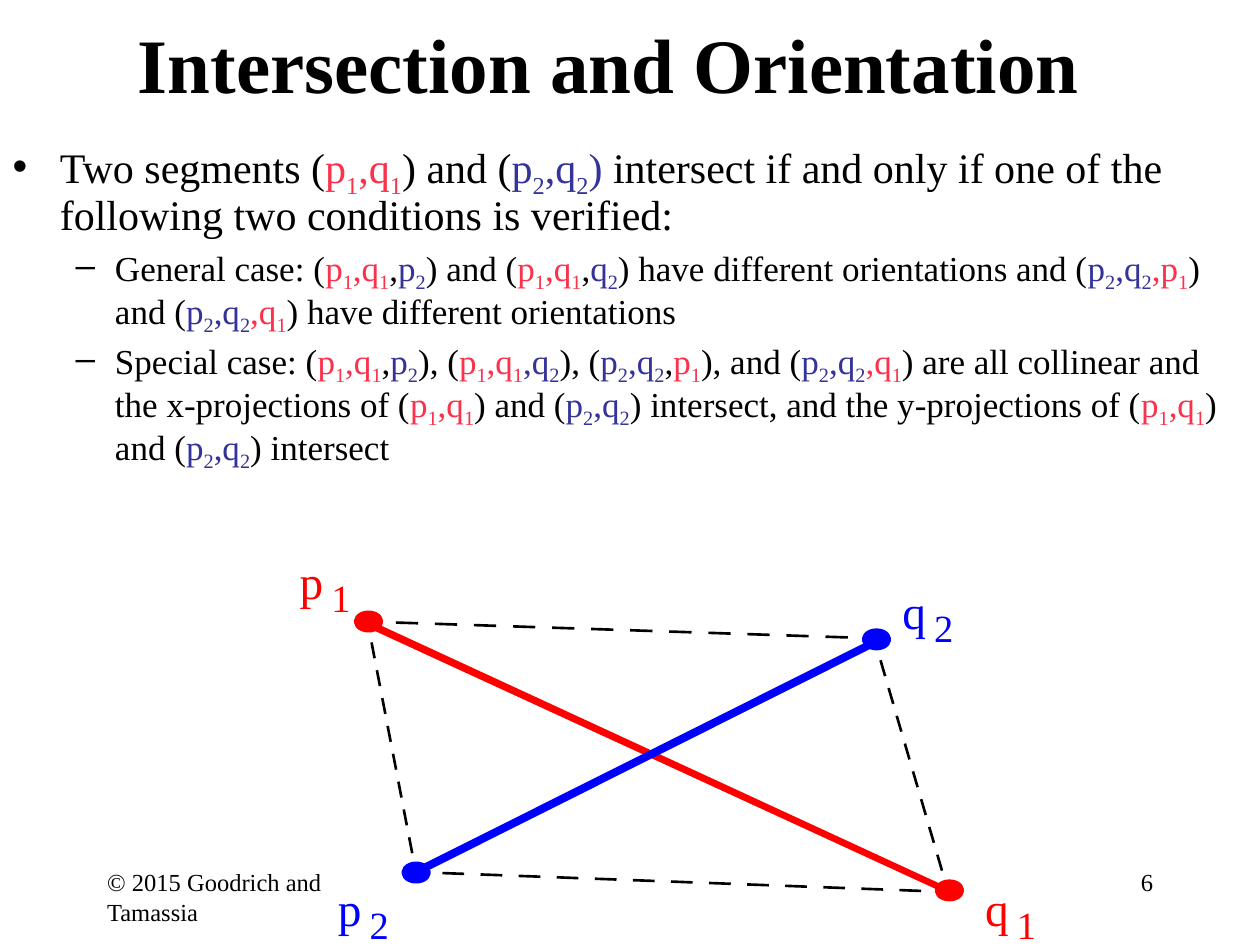
"""Build the slide on segment intersection and orientation."""
import itertools

import pptx
import pptx.dml.color
import pptx.enum.shapes
import pptx.enum.text
import pptx.oxml
import pptx.oxml.ns
import pptx.util
from pptx.util import Cm, Pt

BLACK = pptx.dml.color.RGBColor(0x00, 0x00, 0x00)
RED = pptx.dml.color.RGBColor(0xFF, 0x00, 0x00)
BLUE = pptx.dml.color.RGBColor(0x00, 0x00, 0xFF)
CRIMSON = pptx.dml.color.RGBColor(0xFA, 0x32, 0x4C)
INDIGO = pptx.dml.color.RGBColor(0x33, 0x33, 0x99)

TEXT_COLORS = {"<": CRIMSON, ">": INDIGO}
NO_INSETS = {
    "margin_left": 0, "margin_top": 0, "margin_right": 0, "margin_bottom": 0,
    "word_wrap": False, "auto_size": pptx.enum.text.MSO_AUTO_SIZE.SHAPE_TO_FIT_TEXT,
}
WRAPPED = {"word_wrap": True, "auto_size": pptx.enum.text.MSO_AUTO_SIZE.NONE}

CONDITIONS = [
    (0, 24, "Two segments (|<p1,q1|) and (|>p2,q2)| intersect if and only if "
            "one of the following two conditions is verified:"),
    (1, 20, "General case: (|<p1,q1|,|>p2|) and (|<p1,q1|,|>q2|) have different "
            "orientations and (|>p2,q2|<,p1|) and (|>p2,q2|<,q1|) have different "
            "orientations"),
    (1, 20, "Special case: (|<p1,q1|,|>p2|), (|<p1,q1|>,q2|), (|>p2,q2|,|<p1|), "
            "and (|>p2,q2|<,q1|) are all collinear and the x-projections of "
            "(|<p1,q1|) and (|>p2,q2|) intersect, and the y-projections of "
            "(|<p1,q1|) and (|>p2,q2|) intersect"),
]
ENDPOINTS = {
    "p1": ((7.43, 12.53), (6.04, 11.14), RED),
    "q1": ((19.14, 17.95), (19.86, 17.73), RED),
    "p2": ((8.39, 17.59), (6.81, 17.73), BLUE),
    "q2": ((17.67, 12.89), (18.19, 11.73), BLUE),
}
SEGMENTS = [
    ([(7.44, 12.5), (7.34, 12.62), (19.1, 18.03), (19.2, 17.93)], RED),
    ([(8.31, 17.53), (8.43, 17.65), (17.75, 12.98), (17.65, 12.85)], BLUE),
]
HULL_CORNERS = [
    [(8.36, 17.45), (8.36, 17.6), (8.59, 17.6)],
    [(18.9, 17.96), (19.1, 17.96), (19.1, 17.81)],
    [(17.7, 13.06), (17.65, 12.9), (17.42, 12.9)],
    [(7.59, 12.55), (7.39, 12.55), (7.44, 12.7)],
]
HULL_EDGES = [
    ((8.92, 17.6), (18.57, 17.96), 13),
    ((18.99, 17.55), (17.75, 13.31), 8),
    ((17.09, 12.85), (7.98, 12.55), 12),
    ((7.49, 12.95), (8.31, 17.2), 8),
]
DASH_SHARE = 0.57


def apply(target, values):
    """Set every attribute named in a dict of format values."""
    for attribute, value in values.items():
        setattr(target, attribute, value)


class SlideBuilder:
    """Holds the text style and the current slide."""

    def __init__(self, slide, font_name):
        self.slide = slide
        self.font_name = font_name

    def run(self, paragraph, text, size, color=BLACK, bold=False, baseline=None):
        run = paragraph.add_run()
        run.text = text
        apply(run.font, {"name": self.font_name, "size": Pt(size), "bold": bold})
        run.font.color.rgb = color
        if baseline:
            run.font._element.set("baseline", str(baseline))

    def place(self, shape, left, top, width, height):
        apply(shape, {"left": Cm(left), "top": Cm(top),
                      "width": Cm(width), "height": Cm(height)})

    def title(self, text, *box):
        heading = self.slide.shapes.title
        self.place(heading, *box)
        self.run(heading.text_frame.paragraphs[0], text, 44, bold=True)

    def body(self, items, *box):
        outline = self.slide.placeholders[1]
        self.place(outline, *box)
        frame = outline.text_frame
        apply(frame, WRAPPED)
        for index, (level, size, markup) in enumerate(items):
            paragraph = frame.add_paragraph() if index else frame.paragraphs[0]
            apply(paragraph, {"level": level, "line_spacing": 0.9})
            for piece in markup.split("|"):
                color = TEXT_COLORS.get(piece[0], BLACK)
                for is_index, letters in itertools.groupby(piece.lstrip("<>"), str.isdigit):
                    self.run(paragraph, "".join(letters), size, color,
                             baseline=-25000 if is_index else None)

    def text(self, text, size, box, color=BLACK, align=None, frame_format=WRAPPED):
        textbox = self.slide.shapes.add_textbox(*map(Cm, box))
        apply(textbox.text_frame, frame_format)
        paragraph = textbox.text_frame.paragraphs[0]
        paragraph.alignment = align
        self.run(paragraph, text, size, color)

    def paint(self, shape, fill=None, line=None, width=1.5):
        shape.shadow.inherit = False
        for part, color in ((shape.fill, fill), (shape.line.fill, line)):
            if color is None:
                part.background()
            else:
                part.solid()
                part.fore_color.rgb = color
        if line is not None:
            shape.line.width = Pt(width)

    def outline(self, points, closed=False, **colors):
        start, *others = [(Cm(x), Cm(y)) for x, y in points]
        builder = self.slide.shapes.build_freeform(*start)
        builder.add_line_segments(others, close=closed)
        self.paint(builder.convert_to_shape(), **colors)

    def line(self, start, end):
        connector = self.slide.shapes.add_connector(
            pptx.enum.shapes.MSO_CONNECTOR.STRAIGHT, *map(Cm, start + end))
        connector.line.color.rgb = BLACK
        connector.line.width = Pt(1.5)
        connector._element.spPr.append(pptx.oxml.parse_xml(
            f'<a:effectLst {pptx.oxml.ns.nsdecls("a")}/>'))

    def dashes(self, start, end, count):
        steps = [(b - a) / (count - 1 + DASH_SHARE) for a, b in zip(start, end)]
        for index in range(count):
            self.line(*(tuple(a + step * position for a, step in zip(start, steps))
                        for position in (index, index + DASH_SHARE)))

    def point(self, center, color, width=0.43, height=0.28):
        x, y = center
        dot = self.slide.shapes.add_shape(
            pptx.enum.shapes.MSO_SHAPE.OVAL,
            Cm(x - width / 2), Cm(y - height / 2), Cm(width), Cm(height))
        self.paint(dot, fill=color, line=color, width=4.63)

    def label(self, name, corner, color):
        left, top = corner
        self.text(name[0], 27, (left, top, 0.48, 1.14), color, frame_format=NO_INSETS)
        self.text(name[1], 22, (left + 0.64, top + 0.44, 0.38, 0.94), color,
                  frame_format=NO_INSETS)


def main():
    deck = pptx.Presentation()
    apply(deck, {"slide_width": Cm(25.4), "slide_height": Cm(19.05)})
    builder = SlideBuilder(deck.slides.add_slide(deck.slide_layouts[1]), "Times New Roman")

    builder.text("© 2015 Goodrich and Tamassia", 14, (1.91, 17.36, 5.29, 1.27))
    builder.text("6", 14, (18.21, 17.36, 5.29, 1.27), align=pptx.enum.text.PP_ALIGN.RIGHT)
    builder.title("Intersection and Orientation", 1.48, 0, 21.59, 2.54)
    builder.body(CONDITIONS, 0, 2.75, 25.4, 9.1)

    for corner, edge in zip(HULL_CORNERS, HULL_EDGES):
        builder.outline(corner, line=BLACK)
        builder.dashes(*edge)
    for band, color in SEGMENTS:
        builder.outline(band, closed=True, fill=color)
    for center, _, color in ENDPOINTS.values():
        builder.point(center, color)
    for name, (_, corner, color) in ENDPOINTS.items():
        builder.label(name, corner, color)

    deck.save("out.pptx")


if __name__ == "__main__":
    main()
